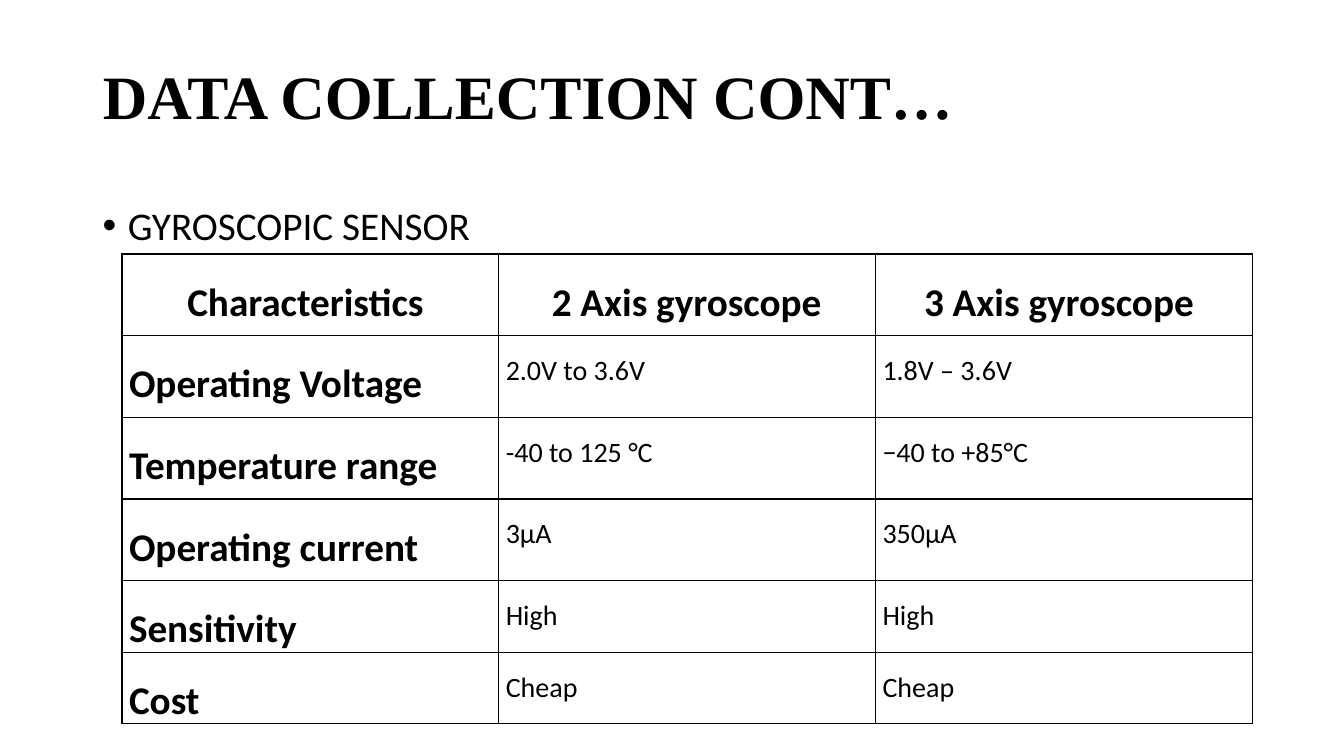
from lxml import etree
from pptx import Presentation
from pptx.dml.color import RGBColor
from pptx.enum.text import MSO_ANCHOR, PP_ALIGN
from pptx.oxml.ns import qn
from pptx.util import Inches, Pt

LEFT, CENTER = PP_ALIGN.LEFT, PP_ALIGN.CENTER
MIDDLE, TOP = MSO_ANCHOR.MIDDLE, MSO_ANCHOR.TOP

# Content
HEADING = "DATA COLLECTION CONT…"
TOPIC = "GYROSCOPIC SENSOR"
SENSORS = [
    ("Characteristics ", "2 Axis gyroscope", "3 Axis gyroscope "),
    ("Operating Voltage ", "2.0V to 3.6V ", "1.8V – 3.6V "),
    ("Temperature range ", "-40 to 125 °C ", "−40 to +85°C "),
    ("Operating current ", "3μA ", "350μA "),
    ("Sensitivity ", "High ", "High "),
    ("Cost ", "Cheap ", "Cheap "),
]

# Style and grid, in inches and points
COLORS = {"ink": "000000"}
HEADING_FONT, BODY_FONT = "Times New Roman", "Calibri"
LABEL_SIZE, VALUE_SIZE = 28, 20
MARGIN, CONTENT_WIDTH = 0.92, 11.5
TABLE_LEFT, TABLE_TOP, TABLE_WIDTH = 1.21, 2.52, 11.21
ROW_HEIGHTS = [0.81] * 4 + [0.65, 0.57]


def write(frame, text, size, font, bold=False, align=LEFT, spacing=0.9):
    paragraph = frame.paragraphs[0]
    paragraph.alignment = align
    paragraph.line_spacing = spacing
    run = paragraph.add_run()
    run.text = text
    run.font.size = Pt(size)
    run.font.name = font
    run.font.bold = bold
    run.font.color.rgb = RGBColor.from_string(COLORS["ink"])
    return paragraph


def outline(cell):
    properties = cell._tc.get_or_add_tcPr()
    for side in ("a:lnL", "a:lnR", "a:lnT", "a:lnB"):
        line = etree.SubElement(properties, qn(side), w=str(Pt(1)))
        fill = etree.SubElement(line, qn("a:solidFill"))
        etree.SubElement(fill, qn("a:srgbClr"), val=COLORS["ink"])


deck = Presentation()
deck.slide_width, deck.slide_height = Inches(13.33), Inches(7.5)
slide = deck.slides.add_slide(deck.slide_layouts[5])

# Heading
heading = slide.shapes.title
heading.left, heading.top = Inches(MARGIN), Inches(0.4)
heading.width, heading.height = Inches(CONTENT_WIDTH), Inches(1.18)
heading.text_frame.vertical_anchor = MIDDLE
write(heading.text_frame, HEADING, 44, HEADING_FONT, bold=True)

# Bulleted topic
topic = slide.shapes.add_textbox(
    Inches(MARGIN), Inches(2), Inches(CONTENT_WIDTH), Inches(4.76))
topic.text_frame.word_wrap = True
bullet_line = write(topic.text_frame, TOPIC, LABEL_SIZE, BODY_FONT)
bullet_line.space_before = Pt(10)
bullet = bullet_line._p.get_or_add_pPr()
bullet.set("marL", str(Inches(0.25)))
bullet.set("indent", str(Inches(-0.25)))
etree.SubElement(bullet, qn("a:buFont"), typeface="Arial")
etree.SubElement(bullet, qn("a:buChar"), char="•")

# Sensor comparison
comparison = slide.shapes.add_table(
    len(SENSORS), len(SENSORS[0]), Inches(TABLE_LEFT), Inches(TABLE_TOP),
    Inches(TABLE_WIDTH), Inches(sum(ROW_HEIGHTS))).table
comparison.first_row = comparison.horz_banding = False
for column in comparison.columns:
    column.width = Inches(TABLE_WIDTH / len(SENSORS[0]))
for r, (height, entries) in enumerate(zip(ROW_HEIGHTS, SENSORS)):
    comparison.rows[r].height = Inches(height)
    for c, entry in enumerate(entries):
        cell = comparison.cell(r, c)
        cell.margin_left, cell.margin_right = Inches(0.07), Inches(0.08)
        cell.margin_top, cell.margin_bottom = Inches(0.01), 0
        cell.vertical_anchor = TOP
        outline(cell)
        cell.fill.background()
        is_label = r == 0 or c == 0
        write(cell.text_frame, entry, LABEL_SIZE if is_label else VALUE_SIZE,
              BODY_FONT, bold=is_label, align=CENTER if r == 0 else LEFT,
              spacing=1.5)

deck.save("out.pptx")
